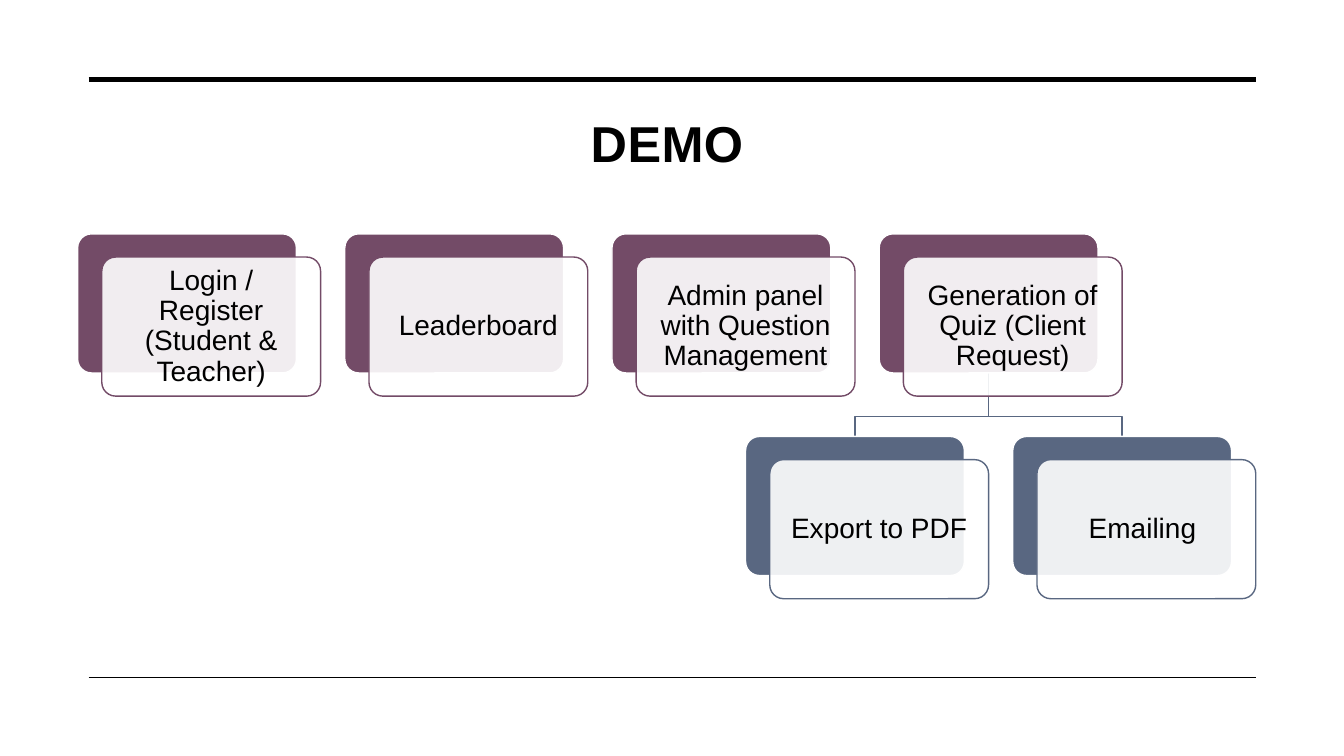
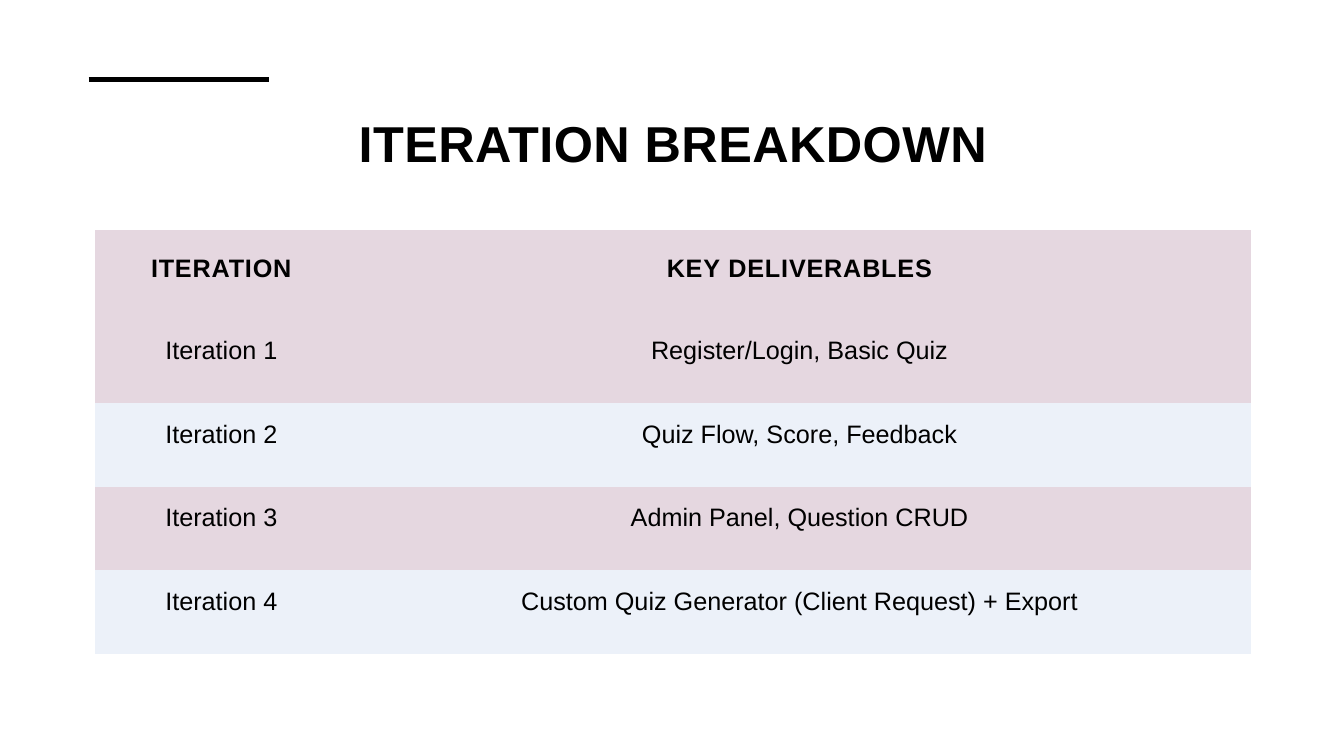
from dataclasses import dataclass

from pptx import Presentation
from pptx.dml.color import RGBColor
from pptx.enum import shapes, text
from pptx.oxml import ns, xmlchemy
from pptx.util import Inches, Pt

# Shared look
FONT = "Arial"
BLACK, WHITE = "000000", "FFFFFF"
PLUM, SLATE = "734B67", "596781"
PINK, ICE = "E5D7E0", "ECF1F9"
LEFT, RIGHT = 0.88, 12.46
NO_STYLE = "{2D5ABB26-0587-4C30-8999-92F81FD0307C}"

# Card grid
CARD_W, CARD_H = 2.17, 1.38
STEP_X, STEP_Y = 2.65, 2.01
GRID_X, GRID_Y = 0.77, 2.32
SHIFT_X, SHIFT_Y = 0.24, 0.23


@dataclass
class Card:
    label: str
    col: float
    row: int
    tint: str

    @property
    def left(self) -> float:
        return GRID_X + self.col * STEP_X

    @property
    def top(self) -> float:
        return GRID_Y + self.row * STEP_Y

    @property
    def mid(self) -> float:
        return self.left + CARD_W / 2


CARDS = [
    Card("Login / Register (Student & Teacher)", 0, 0, PLUM),
    Card("Leaderboard", 1, 0, PLUM),
    Card("Admin panel with Question Management", 2, 0, PLUM),
    Card("Generation of Quiz (Client Request)", 3, 0, PLUM),
    Card("Export to PDF", 2.5, 1, SLATE),
    Card("Emailing ", 3.5, 1, SLATE),
]
PARENT, KIDS = CARDS[3], CARDS[4:]

ROWS = [
    ("ITERATION", "KEY DELIVERABLES"),
    ("Iteration 1", "Register/Login, Basic Quiz"),
    ("Iteration 2", "Quiz Flow, Score, Feedback"),
    ("Iteration 3", "Admin Panel, Question CRUD"),
    ("Iteration 4", "Custom Quiz Generator (Client Request) + Export"),
]


def color(code: str) -> RGBColor:
    return RGBColor.from_string(code)


def fill(thing, code: str) -> None:
    thing.fill.solid()
    thing.fill.fore_color.rgb = color(code)


def stroke(thing, code: str, width: float) -> None:
    thing.line.color.rgb = color(code)
    thing.line.width = Pt(width)


def fade(shape, percent: int) -> None:
    """Set the opacity of a solid fill."""
    tone = shape._element.spPr.find(ns.qn("a:solidFill"))[0]
    alpha = xmlchemy.OxmlElement("a:alpha")
    alpha.set("val", str(percent * 1000))
    tone.append(alpha)


def write(frame, words: str, size: float, bold: bool = False, gap: float = 0) -> None:
    """Put centred text in a frame; gap is letter spacing in points."""
    frame.text = words
    frame.word_wrap = True
    para = frame.paragraphs[0]
    para.alignment = text.PP_ALIGN.CENTER
    for run in para.runs:
        font = run.font
        font.name, font.size, font.bold = FONT, Pt(size), bold
        font.color.rgb = color(BLACK)
        if gap:
            run._r.get_or_add_rPr().set("spc", str(round(gap * 100)))


def pad(box, left: float, top: float, right: float, bottom: float) -> None:
    box.margin_left, box.margin_top = Inches(left), Inches(top)
    box.margin_right, box.margin_bottom = Inches(right), Inches(bottom)


def rule(slide, end: float, top: float, width: float) -> None:
    line = slide.shapes.add_connector(
        shapes.MSO_CONNECTOR.STRAIGHT,
        Inches(LEFT), Inches(top), Inches(end), Inches(top))
    stroke(line, BLACK, width)
    line._element.spPr.append(xmlchemy.OxmlElement("a:effectLst"))


def start(deck, title: str, width: float, end: float):
    """Add a slide with its title and the thick rule above it."""
    slide = deck.slides.add_slide(deck.slide_layouts[6])
    box = slide.shapes.add_textbox(
        Inches(0.77), Inches(1), Inches(width), Inches(1.15))
    write(box.text_frame, title, 36, True, 0.3)
    pad(box.text_frame, 0.1, 0.11, 0.1, 0.05)
    rule(slide, end, 0.79, 3.5)
    return slide


def panel(slide, left: float, top: float, tone: str, edge: str):
    shape = slide.shapes.add_shape(
        shapes.MSO_SHAPE.ROUNDED_RECTANGLE,
        Inches(left), Inches(top), Inches(CARD_W), Inches(CARD_H))
    shape.shadow.inherit = False
    shape.adjustments[0] = 0.1
    fill(shape, tone)
    stroke(shape, edge, 1)
    return shape


def draw(slide, card: Card) -> None:
    panel(slide, card.left, card.top, card.tint, WHITE)
    front = panel(slide, card.left + SHIFT_X, card.top + SHIFT_Y, WHITE, card.tint)
    fade(front, 90)
    frame = front.text_frame
    write(frame, card.label, 20)
    pad(frame, 0.08, 0.08, 0.08, 0.08)
    frame.vertical_anchor = text.MSO_ANCHOR.MIDDLE
    frame.paragraphs[0].line_spacing = 0.9


def branch(slide, top: Card, kid: Card) -> None:
    """Draw the stepped line from a card down to its child."""
    base, bend = top.top + CARD_H, kid.top - 0.2
    spots = [(top.mid, bend), (kid.mid, bend), (kid.mid, kid.top)]
    pen = slide.shapes.build_freeform(Inches(top.mid), Inches(base))
    pen.add_line_segments([(Inches(x), Inches(y)) for x, y in spots], close=False)
    line = pen.convert_to_shape()
    line.shadow.inherit = False
    line.fill.background()
    stroke(line, SLATE, 1)


def demo(deck) -> None:
    slide = start(deck, "DEMO", 11.69, RIGHT)
    rule(slide, RIGHT, 6.72, 1)
    for kid in KIDS:
        branch(slide, PARENT, kid)
    for card in CARDS:
        draw(slide, card)


def plan(deck) -> None:
    slide = start(deck, "ITERATION BREAKDOWN", 11.81, 2.67)
    frame = slide.shapes.add_table(
        len(ROWS), 2, Inches(0.94), Inches(2.28), Inches(11.47), Inches(4.21))
    grid = frame.table
    grid._tbl.tblPr.find(ns.qn("a:tableStyleId")).text = NO_STYLE
    for col, width in zip(grid.columns, (2.51, 8.96)):
        col.width = Inches(width)
    for r, row in enumerate(ROWS):
        head = r == 0
        grid.rows[r].height = Inches(0.89 if head else 0.83)
        for c, words in enumerate(row):
            cell = grid.cell(r, c)
            write(cell.text_frame, words, 18, head, 0.6 if head else 0)
            pad(cell, *((0.25,) * 4 if head else (0.33, 0.17, 0.33, 0.16)))
            fill(cell, ICE if r in (2, 4) else PINK)


def main() -> None:
    deck = Presentation()
    deck.slide_width, deck.slide_height = Inches(13.33), Inches(7.5)
    demo(deck)
    plan(deck)
    deck.save("out.pptx")


if __name__ == "__main__":
    main()
